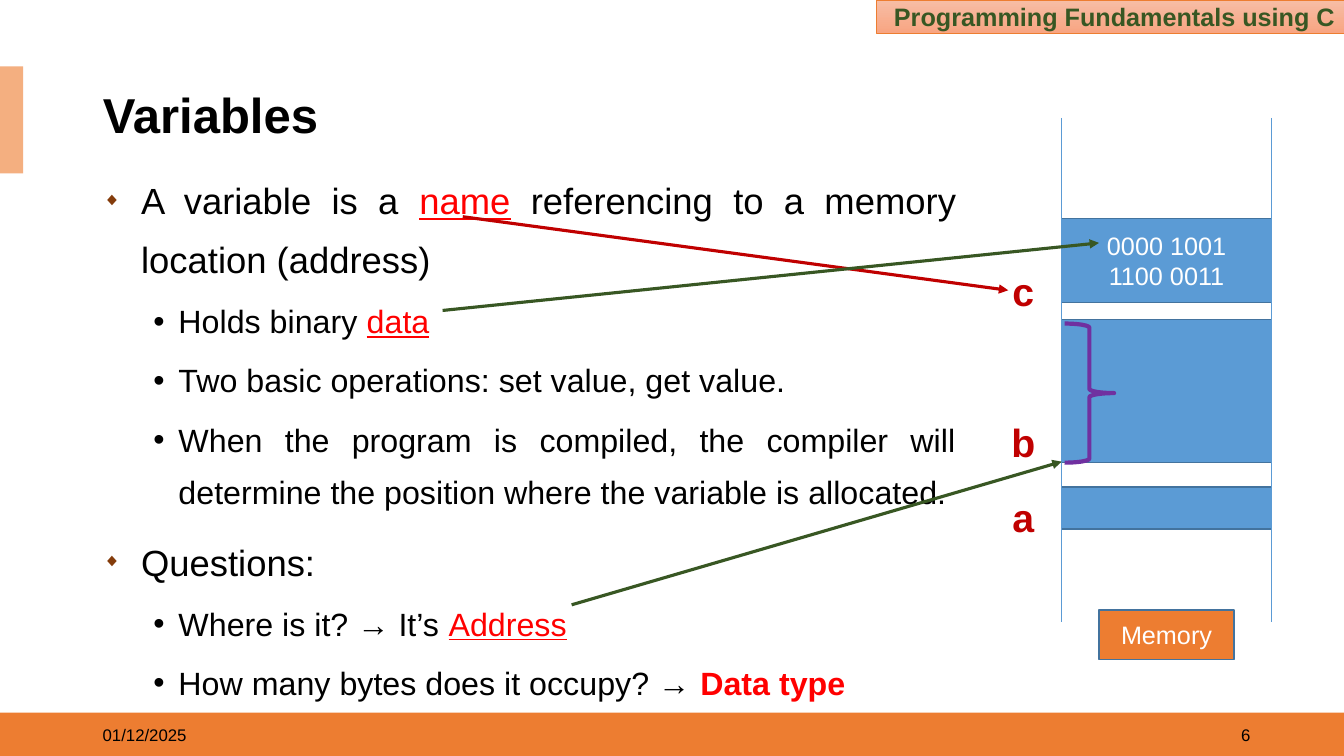
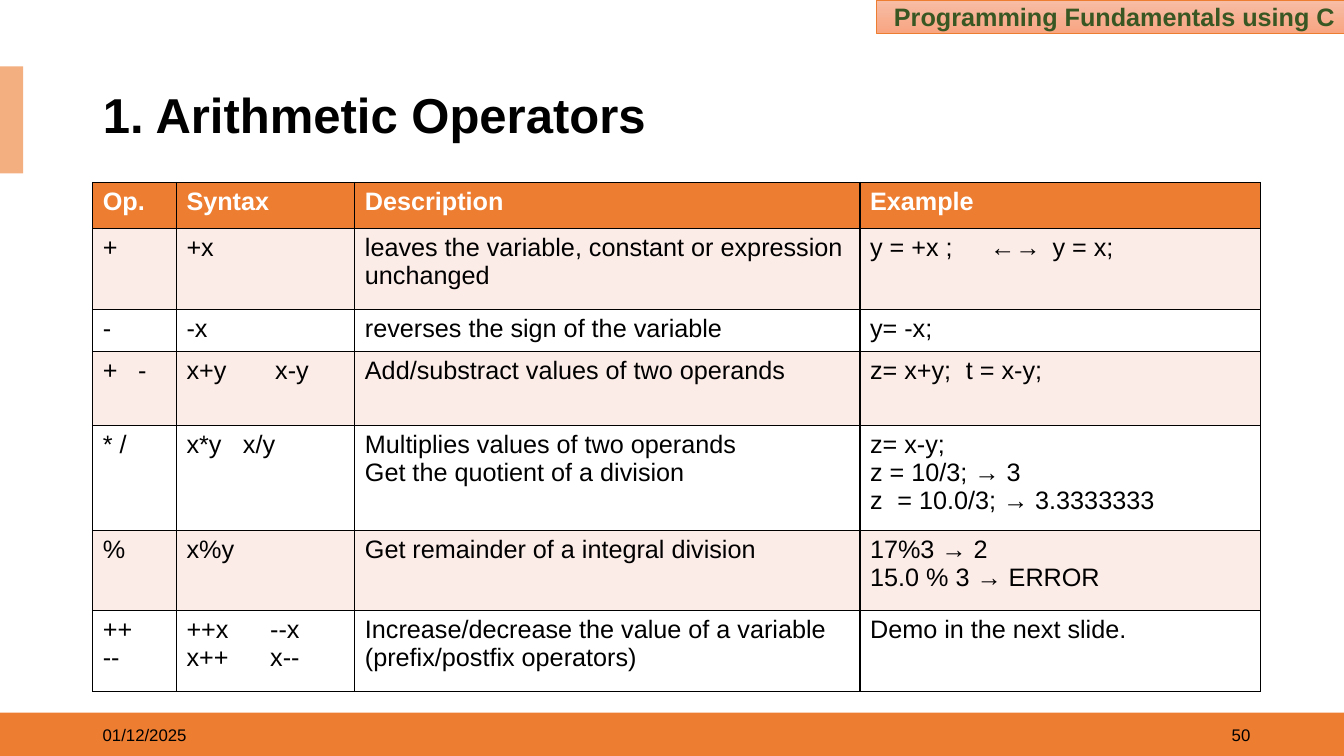
from lxml.etree import SubElement
from pptx import Presentation
from pptx.dml.color import RGBColor
from pptx.enum.shapes import MSO_CONNECTOR, MSO_SHAPE
from pptx.enum.text import MSO_ANCHOR, MSO_AUTO_SIZE, PP_ALIGN
from pptx.oxml.ns import qn
from pptx.util import Inches, Pt

FONT = "Arial"
BLACK = RGBColor(0x00, 0x00, 0x00)
WHITE = RGBColor(0xFF, 0xFF, 0xFF)
ORANGE = RGBColor(0xED, 0x7D, 0x31)
LIGHT_ORANGE = RGBColor(0xF4, 0xAF, 0x80)
BANNER_TOP = RGBColor(0xF7, 0xBD, 0xA5)
BANNER_BOTTOM = RGBColor(0xF8, 0xA5, 0x82)
PALE = RGBColor(0xFC, 0xEC, 0xE8)
BROWN = RGBColor(0x84, 0x3C, 0x0B)
GREEN = RGBColor(0x38, 0x57, 0x23)
BLUE = RGBColor(0x5B, 0x9B, 0xD5)
DARK_BLUE = RGBColor(0x43, 0x73, 0x9E)
RED = RGBColor(0xFF, 0x00, 0x00)
DARK_RED = RGBColor(0xC0, 0x00, 0x00)
PURPLE = RGBColor(0x70, 0x30, 0xA0)

COURSE = "Programming Fundamentals using C"
DATE = "01/12/2025"

TERM = {"color": RED, "underline": True}
STRONG = {"color": RED, "bold": True}
# (level, [(text, format), ...])
BULLETS = [
    (0, [("A variable is a ", {}), ("name", TERM),
         (" referencing to a memory location (address)", {})]),
    (1, [("Holds binary ", {}), ("data", TERM)]),
    (1, [("Two basic operations: set value, get value.", {})]),
    (1, [("When the program is compiled, the compiler will determine "
          "the position where the variable is allocated.", {})]),
    (0, [("Questions:", {})]),
    (1, [("Where is it? → It’s ", {}), ("Address", TERM)]),
    (1, [("How many bytes does it occupy? → ", {}), ("Data type", STRONG)]),
]
# level: size, left margin, hanging indent, space before, bullet, colour, percent
LEVELS = [
    (26, 0.38, 0.38, 10, "◆", BROWN, 50),
    (23, 0.75, 0.25, 5, "•", BLACK, 100),
]

MEMORY_LEFT, MEMORY_WIDTH = 10.53, 2.08
# top, height, content
MEMORY_BLOCKS = [(2.17, 0.83, "0000 1001\n1100 0011"), (3.17, 1.42, ""), (4.83, 0.42, "")]
VARIABLES = [("a", 4.92), ("b", 4.17), ("c", 2.67)]
ARROWS = [
    ((4.59, 2.15), (10, 2.88), DARK_RED),
    ((4.39, 3.08), (10.9, 2.41), GREEN),
    ((5.67, 6), (10.53, 4.58), GREEN),
]

COLUMNS = [0.83, 1.77, 5.01, 3.97]
ROW_HEIGHTS = [0.46, 0.8, 0.42, 0.73, 1.04, 0.8, 0.8]
OPERATORS = [
    ("Op.", "Syntax", "Description", "Example"),
    ("+", "+x", "leaves the variable, constant or expression unchanged",
     "y = +x ;\t←→\ty = x;"),
    ("-", "-x", "reverses the sign of the variable", "y= -x;"),
    ("+\t-", "x+y\tx-y", "Add/substract values of two operands", "z= x+y;\tt = x-y;"),
    ("* /", "x*y\tx/y", "Multiplies values of two operands\nGet the quotient of a division",
     "z= x-y;\nz = 10/3; → 3\nz\t= 10.0/3; → 3.3333333"),
    ("%", "x%y", "Get remainder of a integral division", "17%3 → 2\n15.0 % 3 → ERROR"),
    ("++\n--", "++x\t--x\nx++\tx--",
     "Increase/decrease the value of a variable (prefix/postfix operators)",
     "Demo in the next slide."),
]
# (row, column): tab stops
TAB_STOPS = {(1, 3): [1.19, 1.81], (3, 0): [0.35], (3, 1): [0.88], (3, 3): [0.95],
             (4, 1): [0.56], (4, 3): [0.27], (6, 1): [0.83]}


def add_run(p, text, size=18, color=BLACK, bold=False, underline=False):
    r = p.add_run()
    r.text = text
    r.font.name, r.font.size = FONT, Pt(size)
    r.font.bold, r.font.underline = bold, underline
    r.font.color.rgb = color


def write(tf, text, align=PP_ALIGN.LEFT, anchor=MSO_ANCHOR.MIDDLE, spacing=None,
          tabs=(), **fmt):
    """Fill a text frame, one paragraph for each line of text."""
    tf.word_wrap = True
    tf.vertical_anchor = anchor
    for i, line in enumerate(text.split("\n")):
        p = tf.add_paragraph() if i else tf.paragraphs[0]
        if tabs:
            stops = SubElement(p._p.get_or_add_pPr(), qn("a:tabLst"))
            for pos in tabs:
                SubElement(stops, qn("a:tab"), pos=str(Inches(pos)), algn="l")
        p.alignment = align
        if spacing:
            p.line_spacing = spacing
        add_run(p, line, **fmt)


def place(sp, left, top, width, height):
    sp.left, sp.top = Inches(left), Inches(top)
    sp.width, sp.height = Inches(width), Inches(height)


def add_text(s, box, text, **fmt):
    write(s.shapes.add_textbox(*map(Inches, box)).text_frame, text, **fmt)


def add_box(s, box, fill=None, line=None, weight=1, kind=MSO_SHAPE.RECTANGLE):
    sp = s.shapes.add_shape(kind, *map(Inches, box))
    sp.shadow.inherit = False
    if fill is None:
        sp.fill.background()
    else:
        sp.fill.solid()
        sp.fill.fore_color.rgb = fill
    if line is None:
        sp.line.fill.background()
    else:
        sp.line.color.rgb = line
        sp.line.width = Pt(weight)
    return sp


def add_line(s, start, end, color, weight, arrow=False):
    cn = s.shapes.add_connector(MSO_CONNECTOR.STRAIGHT, *map(Inches, start + end))
    cn.line.color.rgb = color
    cn.line.width = Pt(weight)
    sp_pr = cn.element.spPr
    if arrow:
        SubElement(sp_pr.find(qn("a:ln")), qn("a:tailEnd"), type="triangle")
    SubElement(sp_pr, qn("a:effectLst"))


def add_bands(prs, s):
    """Draw the shared bands on a slide, then move them to the master."""
    bottom = add_box(s, (0, 7.07, 13.33, 0.44), ORANGE)
    side = add_box(s, (0, 0.66, 0.23, 1.06), LIGHT_ORANGE)
    banner = add_box(s, (8.69, 0, 4.65, 0.33), ORANGE, ORANGE, 0.5)
    banner.fill.gradient()
    banner.fill.gradient_angle = 270
    for stop, color in zip(banner.fill.gradient_stops, (BANNER_TOP, BANNER_BOTTOM)):
        stop.color.rgb = color
    write(banner.text_frame, COURSE, align=PP_ALIGN.RIGHT, color=GREEN, bold=True)
    tree = prs.slide_master.shapes.element
    for i, sp in enumerate((bottom, side, banner)):
        sp.element.nvSpPr.cNvPr.id = 20 + i
        tree.insert(2 + i, sp.element)


def add_slide(prs, layout, title, number):
    s = prs.slides.add_slide(prs.slide_layouts[layout])
    sp = s.shapes.title
    place(sp, 0.92, 0.85, 11.5, 0.63)
    sp.fill.solid()
    sp.fill.fore_color.rgb = WHITE
    sp.text_frame.auto_size = MSO_AUTO_SIZE.NONE
    write(sp.text_frame, title, spacing=0.9, size=35, bold=True)
    add_text(s, (9.5, 7.09, 3, 0.4), number, align=PP_ALIGN.RIGHT, size=12)
    add_text(s, (0.92, 7.09, 3, 0.4), DATE, size=12)
    return s


def set_bullet(p, left, hang, char, color, percent):
    p_pr = p._p.get_or_add_pPr()
    p_pr.set("marL", str(Inches(left)))
    p_pr.set("indent", str(-Inches(hang)))
    SubElement(SubElement(p_pr, qn("a:buClr")), qn("a:srgbClr"), val=str(color))
    SubElement(p_pr, qn("a:buSzPct"), val=str(percent * 1000))
    SubElement(p_pr, qn("a:buFont"), typeface=FONT)
    SubElement(p_pr, qn("a:buChar"), char=char)


def fill_body(sp):
    place(sp, 0.92, 1.57, 8.67, 5.42)
    tf = sp.text_frame
    tf.auto_size = MSO_AUTO_SIZE.NONE
    for i, (level, runs) in enumerate(BULLETS):
        size, left, hang, before, char, color, percent = LEVELS[level]
        p = tf.add_paragraph() if i else tf.paragraphs[0]
        set_bullet(p, left, hang, char, color, percent)
        p.level = level
        p.alignment = PP_ALIGN.JUSTIFY
        p.line_spacing = 1.35
        p.space_before = Pt(before if i else 0)
        for text, fmt in runs:
            add_run(p, text, size=size, **fmt)


def draw_memory(s):
    for top, height, content in MEMORY_BLOCKS:
        sp = add_box(s, (MEMORY_LEFT, top, MEMORY_WIDTH, height), BLUE, DARK_BLUE)
        if content:
            write(sp.text_frame, content, align=PP_ALIGN.CENTER, color=WHITE)
    for name, top in VARIABLES:
        add_text(s, (9.86, top, 0.58, 0.42), name, align=PP_ALIGN.CENTER,
                 size=28, color=DARK_RED, bold=True)
    for x in (MEMORY_LEFT, MEMORY_LEFT + MEMORY_WIDTH):
        add_line(s, (x, 1.17), (x, 6.17), BLUE, 0.5)
    for start, end, color in ARROWS:
        add_line(s, start, end, color, 2.25, arrow=True)
    add_box(s, (10.56, 3.21, 0.49, 1.38), line=PURPLE, weight=3, kind=MSO_SHAPE.RIGHT_BRACE)
    label = add_box(s, (10.9, 6.05, 1.34, 0.49), ORANGE, DARK_BLUE)
    write(label.text_frame, "Memory", align=PP_ALIGN.CENTER, color=WHITE)


def set_borders(cell):
    tc_pr = cell._tc.get_or_add_tcPr()
    for side in ("lnL", "lnR", "lnT", "lnB"):
        ln = SubElement(tc_pr, qn(f"a:{side}"), w=str(Pt(1)))
        SubElement(SubElement(ln, qn("a:solidFill")), qn("a:srgbClr"), val=str(BLACK))


def add_operator_table(s):
    box = (0.92, 1.81, sum(COLUMNS), sum(ROW_HEIGHTS))
    table = s.shapes.add_table(len(OPERATORS), len(COLUMNS), *map(Inches, box)).table
    table.horz_banding = False
    for col, width in zip(table.columns, COLUMNS):
        col.width = Inches(width)
    for i, (texts, height) in enumerate(zip(OPERATORS, ROW_HEIGHTS)):
        table.rows[i].height = Inches(height)
        header = i == 0
        fill = ORANGE if header else PALE if i % 2 else WHITE
        for j, text in enumerate(texts):
            cell = table.cell(i, j)
            set_borders(cell)
            cell.fill.solid()
            cell.fill.fore_color.rgb = fill
            write(cell.text_frame, text, anchor=None, tabs=TAB_STOPS.get((i, j), ()),
                  color=WHITE if header else BLACK, bold=header)


def main():
    prs = Presentation()
    prs.slide_width, prs.slide_height = Inches(13.33), Inches(7.5)

    s = add_slide(prs, 1, "Variables", "6")
    add_bands(prs, s)
    fill_body(s.placeholders[1])
    draw_memory(s)

    s = add_slide(prs, 5, "1. Arithmetic Operators", "50")
    add_operator_table(s)

    prs.save("out.pptx")


if __name__ == "__main__":
    main()
